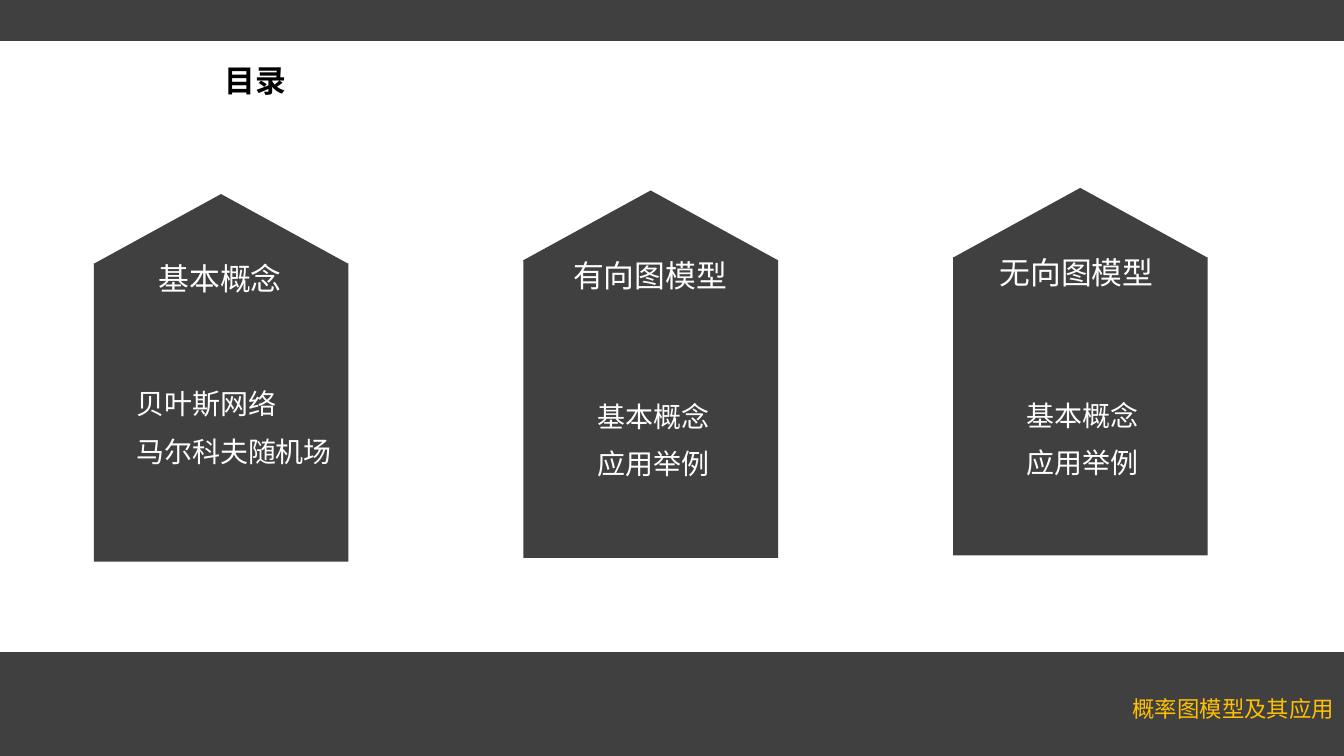
from pptx import Presentation
from pptx.dml.color import RGBColor as Rgb
from pptx.enum.shapes import MSO_SHAPE as Shape
from pptx.enum.text import MSO_ANCHOR as Anchor, MSO_AUTO_SIZE as Fit, PP_ALIGN as Align
from pptx.oxml.ns import qn
from pptx.util import Cm, Pt
from lxml.etree import SubElement

COLORS = {"dark": "404040", "white": "FFFFFF", "gold": "FFC000", "black": "000000"}
SANS = "Noto Sans CJK SC"
STEP = 21.65
ROOF_W, ROOF_H = 12.88, 3.53
CARDS = [
    {"top": 9.78, "head": "基本概念", "head_box": (7.82, 6.55),
     "items": ["贝叶斯网络", "马尔科夫随机场"], "list_box": (6.71, 19.14, 10.26, 4.8),
     "align": Align.LEFT},
    {"top": 9.6, "head": "有向图模型", "head_box": (28.7, 8.13),
     "items": ["基本概念", "应用举例"], "list_box": (29.92, 19.77, 6, 4.8),
     "align": Align.CENTER},
    {"top": 9.47, "head": "无向图模型", "head_box": (50.19, 8.13),
     "items": ["基本概念", "应用举例"], "list_box": (51.55, 19.72, 6, 4.8),
     "align": Align.CENTER},
]


def paint(shape, color):
    shape.shadow.inherit = False
    shape.fill.solid()
    shape.fill.fore_color.rgb = Rgb.from_string(COLORS[color])
    shape.line.fill.background()


def add_rect(slide, box, color):
    paint(slide.shapes.add_shape(Shape.RECTANGLE, *map(Cm, box)), color)


def add_roof(slide, left, top):
    low = Cm(top + ROOF_H)
    pen = slide.shapes.build_freeform(Cm(left + ROOF_W / 2), Cm(top))
    pen.add_line_segments([(Cm(left + ROOF_W), low), (Cm(left), low)], close=True)
    paint(pen.convert_to_shape(), "dark")


def style(frame, size, color, font=SANS, bold=False, align=Align.LEFT,
          anchor=Anchor.MIDDLE, wrap=True, space=1.0):
    frame.word_wrap = wrap
    frame.auto_size = Fit.NONE
    frame.vertical_anchor = anchor
    frame.margin_left = frame.margin_right = Cm(0.15)
    frame.margin_top = frame.margin_bottom = Cm(0.15)
    for par in frame.paragraphs:
        par.alignment = align
        par.line_spacing = space
        par.space_before = Pt(0)
        for run in par.runs:
            run.font.size = Pt(size)
            run.font.bold = bold
            run.font.name = font
            run.font.color.rgb = Rgb.from_string(COLORS[color])
            SubElement(run.font._element, qn("a:ea"), typeface=font)


def add_text(slide, text, box, size, color, **look):
    frame = slide.shapes.add_textbox(*map(Cm, box)).text_frame
    frame.text = text
    style(frame, size, color, **look)


def place(holder, box):
    holder.left, holder.top, holder.width, holder.height = map(Cm, box)
    holder.element.getparent().append(holder.element)


def fill_title(slide, text, box):
    title = slide.shapes.title
    place(title, box)
    title.text_frame.text = text
    style(title.text_frame, 44, "black", font="Roboto", bold=True,
          anchor=Anchor.BOTTOM, space=Pt(40))


def fill_list(holder, items, box, align):
    place(holder, box)
    frame = holder.text_frame
    frame.text = "\n".join(items)
    style(frame, 40, "white", align=align)
    for par in frame.paragraphs:
        props = par._p.get_or_add_pPr()
        props.set("marL", "0")
        props.set("indent", "0")
        SubElement(props, qn("a:buNone"))
    frame.paragraphs[1].space_before = Pt(20)


def add_card(slide, holder, left, card):
    top = card["top"]
    add_rect(slide, (left + 0.03, top + 3.51, 12.83, 15.01), "dark")
    add_roof(slide, left, top)
    head_x, head_w = card["head_box"]
    add_text(slide, card["head"], (head_x, top + 3.18, head_w, 2.16), 44, "white",
             align=Align.CENTER, wrap=False)
    fill_list(holder, card["items"], card["list_box"], card["align"])


def main():
    deck = Presentation()
    deck.slide_width, deck.slide_height = Cm(67.73), Cm(38.1)
    slide = deck.slides.add_slide(deck.slide_layouts.get_by_name("Comparison"))
    *bodies, spare = list(slide.placeholders)[1:]
    spare.element.getparent().remove(spare.element)
    for top in (32.87, -3.63):
        add_rect(slide, (-1.3, top, 69.82, 5.69), "dark")
    add_text(slide, "概率图模型及其应用", (56.92, 31.39, 11.66, 8.61), 32, "gold",
             space=Pt(40))
    fill_title(slide, "目录", (11.15, 2.77, 5.41, 2.36))
    for col, (holder, card) in enumerate(zip(bodies, CARDS)):
        add_card(slide, holder, 4.7 + col * STEP, card)
    deck.save("out.pptx")


if __name__ == "__main__":
    main()
